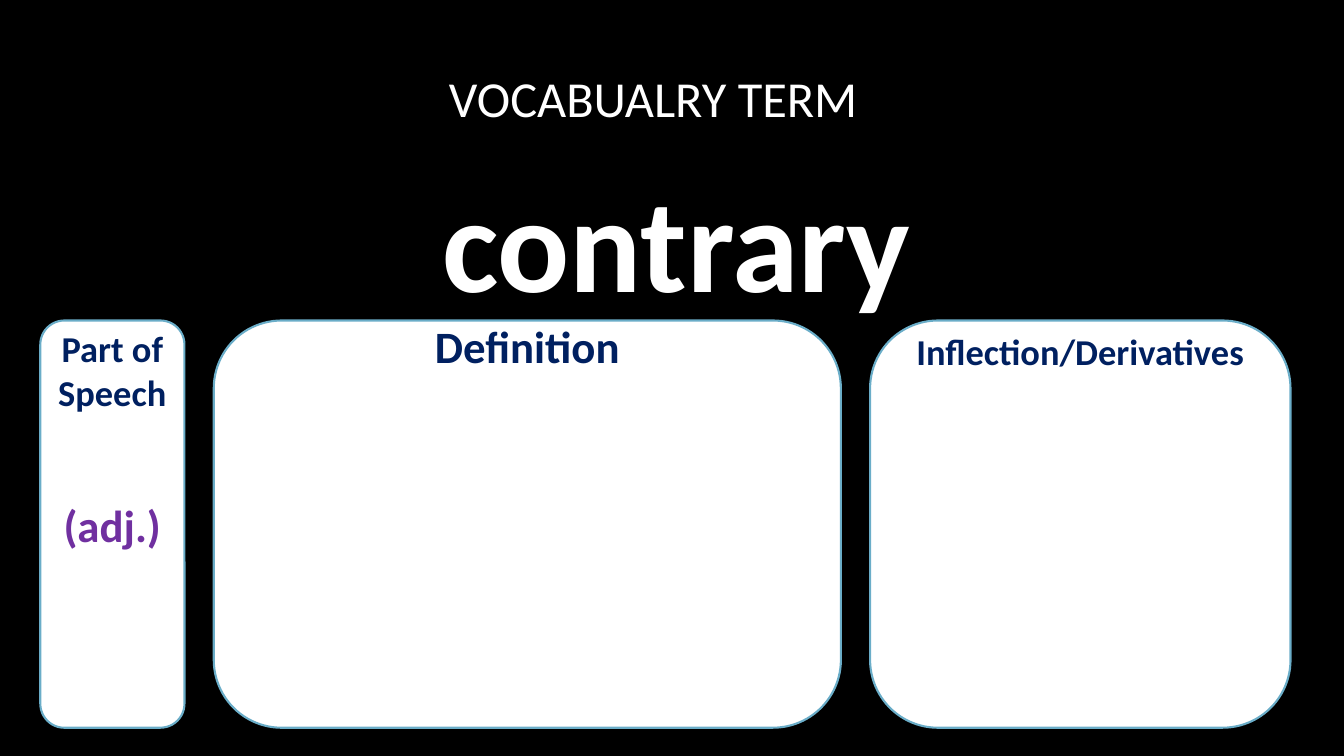
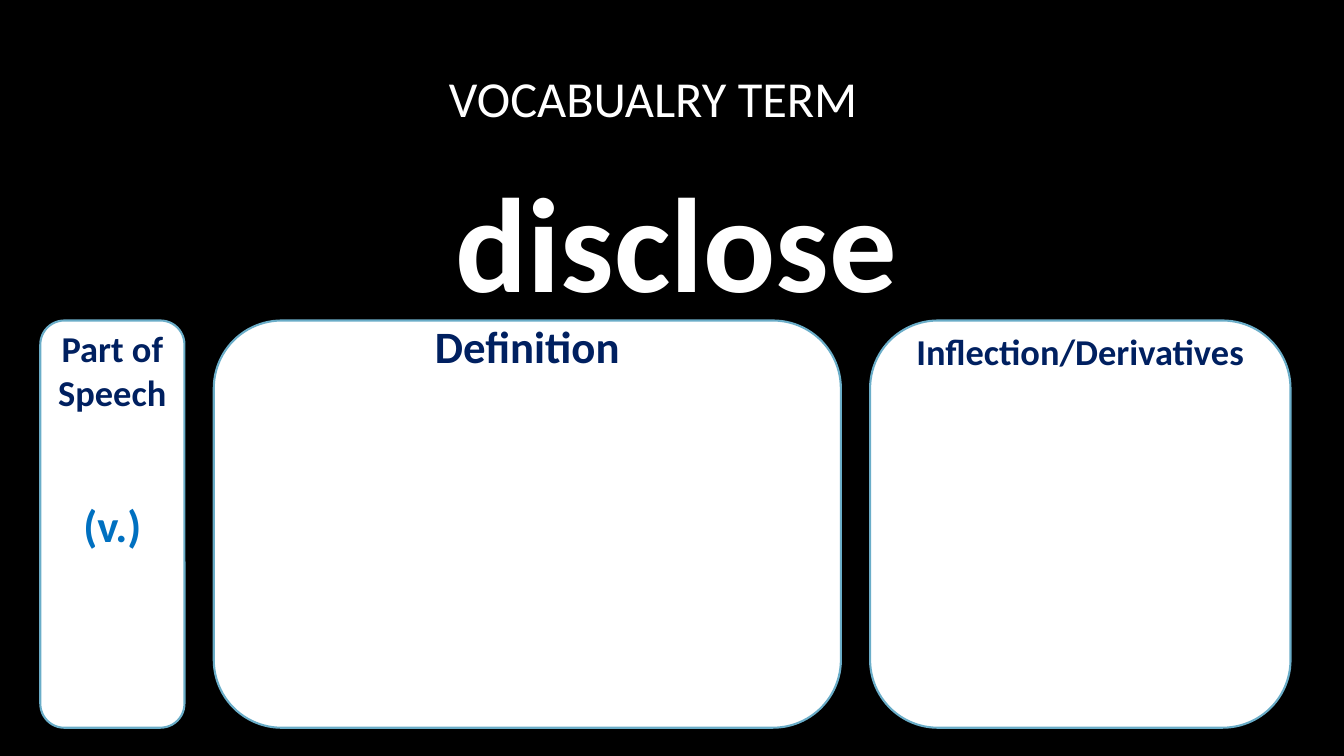
from pptx import Presentation
from pptx import util as u
from pptx.dml.color import RGBColor
from pptx.enum import shapes, text

BLACK = RGBColor(0x00, 0x00, 0x00)
WHITE = RGBColor(0xFF, 0xFF, 0xFF)
NAVY = RGBColor(0x00, 0x20, 0x60)
PURPLE = RGBColor(0x70, 0x30, 0xA0)
BLUE = RGBColor(0x00, 0x70, 0xC0)
CARD_EDGE = RGBColor(0x6A, 0xAD, 0xC8)
FONT = "Calibri"

# Grid, in inches
HEADING_LEFT, HEADING_WIDTH = 1.17, 11.08
TITLE_TOP, TERM_TOP, CARD_TOP = 0.46, 1.42, 3.18
CARD_HEIGHT = 4.04
CARD_LEFT, GUTTER = 0.4, 0.29

# Label, width, label size, bottom inset that lifts the text to the card's top
CARDS = [
    ("Part of Speech", 1.43, 26, 1.69),
    ("Definition", 6.22, 32, 3.54),
    ("Inflection/Derivatives", 4.17, 26, 3.43),
]
TERMS = [("contrary", "(adj.)", PURPLE), ("disclose", "(v.)", BLUE)]


def write(paragraph, words, size, color, bold=True):
    paragraph.text = words
    paragraph.alignment = text.PP_ALIGN.CENTER
    paragraph.font.name = FONT
    paragraph.font.size = u.Pt(size)
    paragraph.font.bold = bold
    paragraph.font.color.rgb = color


def add_heading(slide, top, bottom, words, size, bold, top_inset, right_inset):
    box = slide.shapes.add_textbox(
        u.Inches(HEADING_LEFT), u.Inches(top),
        u.Inches(HEADING_WIDTH), u.Inches(bottom - top))
    frame = box.text_frame
    frame.word_wrap = True
    frame.vertical_anchor = text.MSO_ANCHOR.MIDDLE
    frame.margin_top = u.Inches(top_inset)
    frame.margin_right = u.Inches(right_inset)
    write(frame.paragraphs[0], words, size, WHITE, bold)


presentation = Presentation()
presentation.slide_width = u.Inches(13.33)
presentation.slide_height = u.Inches(7.5)
background = presentation.slide_master.background.fill
background.solid()
background.fore_color.rgb = BLACK
blank_layout = presentation.slide_layouts[6]

for term, part_of_speech, part_color in TERMS:
    slide = presentation.slides.add_slide(blank_layout)
    add_heading(slide, TITLE_TOP, TERM_TOP, "VOCABUALRY TERM", 36, False, 0.11, 0.56)
    add_heading(slide, TERM_TOP, CARD_TOP, term, 96, True, 0.19, 0.1)

    left = CARD_LEFT
    for label, width, size, bottom_inset in CARDS:
        card = slide.shapes.add_shape(
            shapes.MSO_SHAPE.ROUNDED_RECTANGLE, u.Inches(left),
            u.Inches(CARD_TOP), u.Inches(width), u.Inches(CARD_HEIGHT))
        card.shadow.inherit = False
        card.fill.solid()
        card.fill.fore_color.rgb = WHITE
        card.line.color.rgb = CARD_EDGE
        card.line.width = u.Pt(1.5)
        frame = card.text_frame
        frame.word_wrap = True
        frame.vertical_anchor = text.MSO_ANCHOR.MIDDLE
        frame.margin_top = 0
        frame.margin_bottom = u.Inches(bottom_inset)
        write(frame.paragraphs[0], label, size, NAVY)
        if label == "Part of Speech":
            answer = frame.add_paragraph()
            write(answer, part_of_speech, 32, part_color)
            answer.space_before = u.Pt(60)
        left += width + GUTTER

presentation.save("out.pptx")
